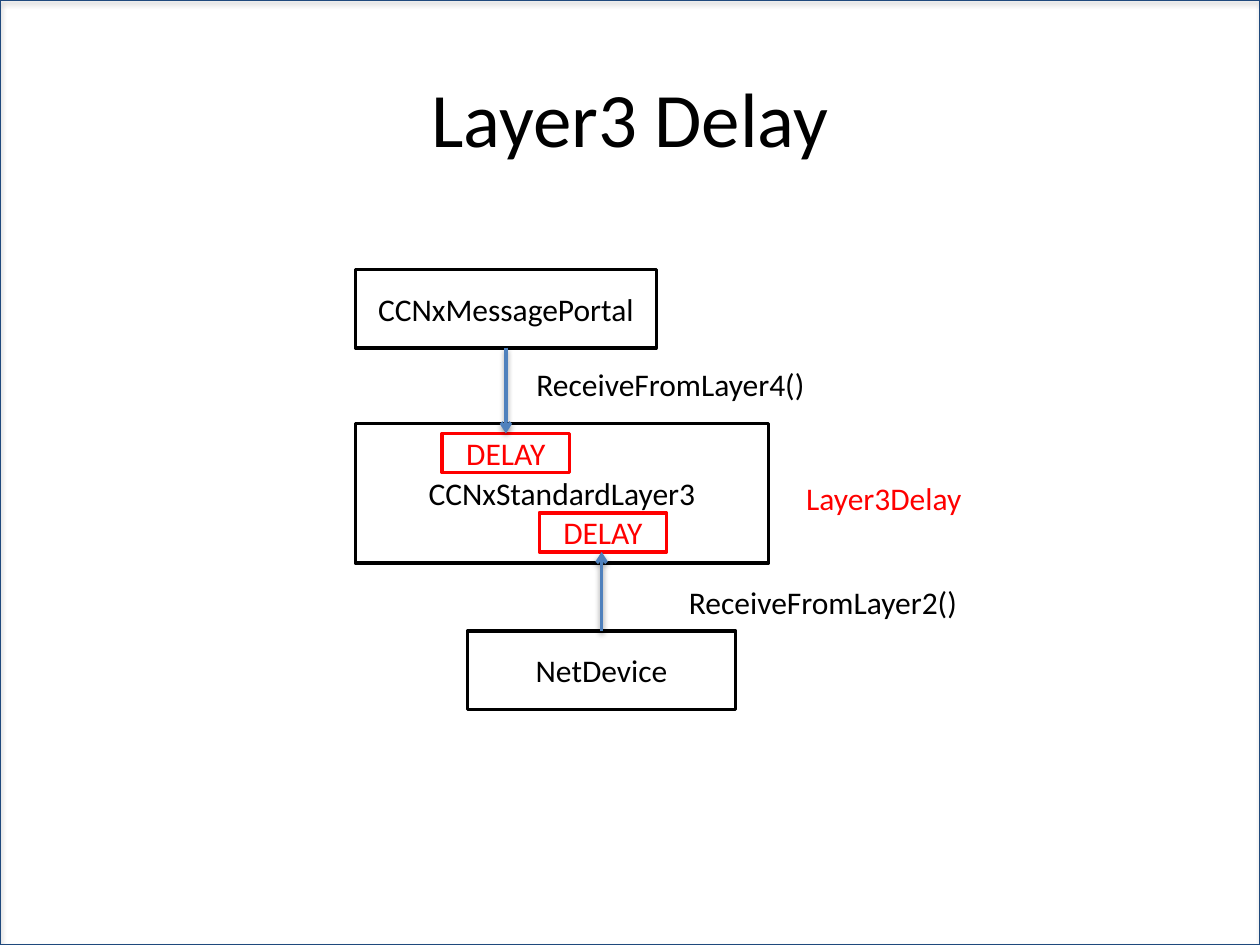
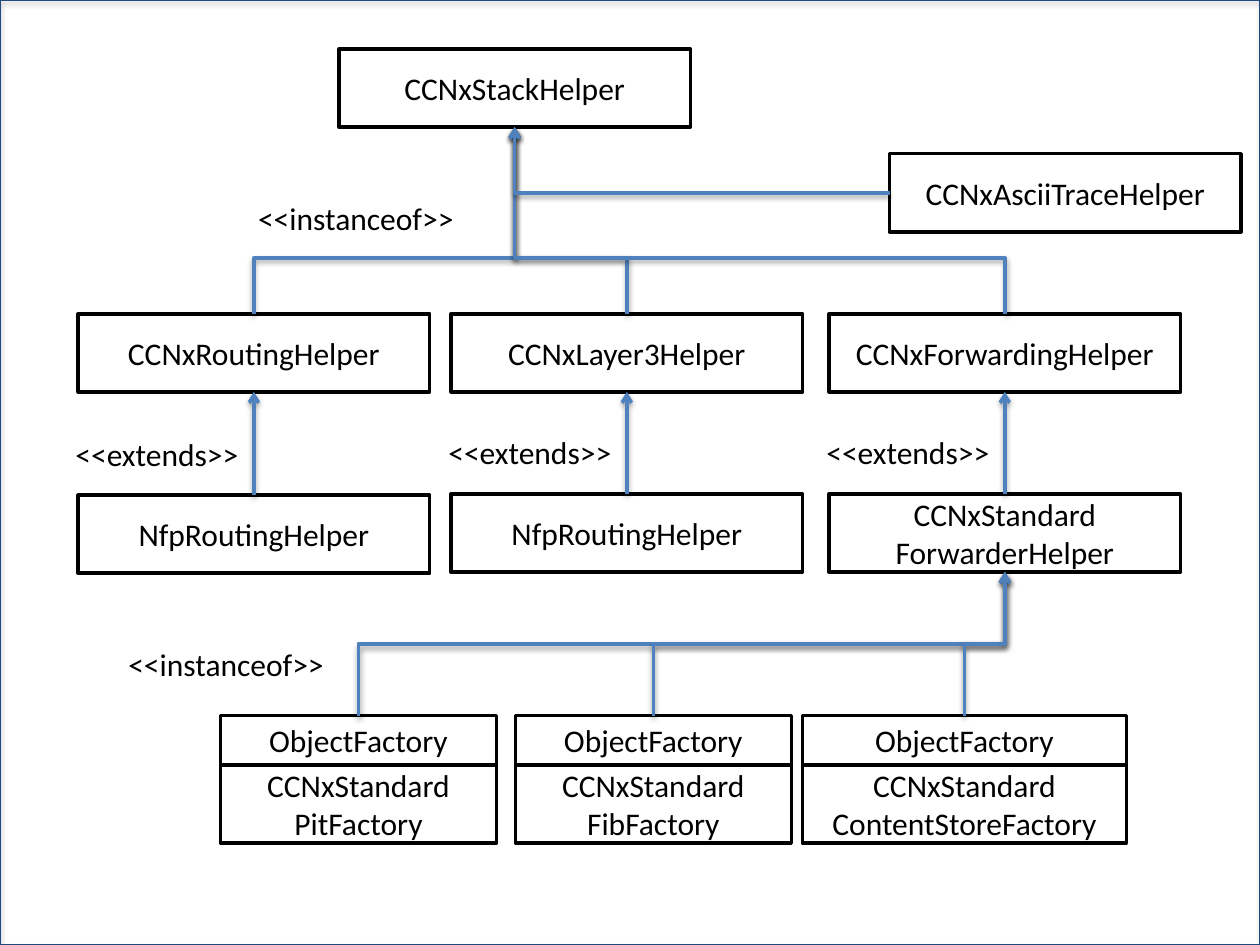
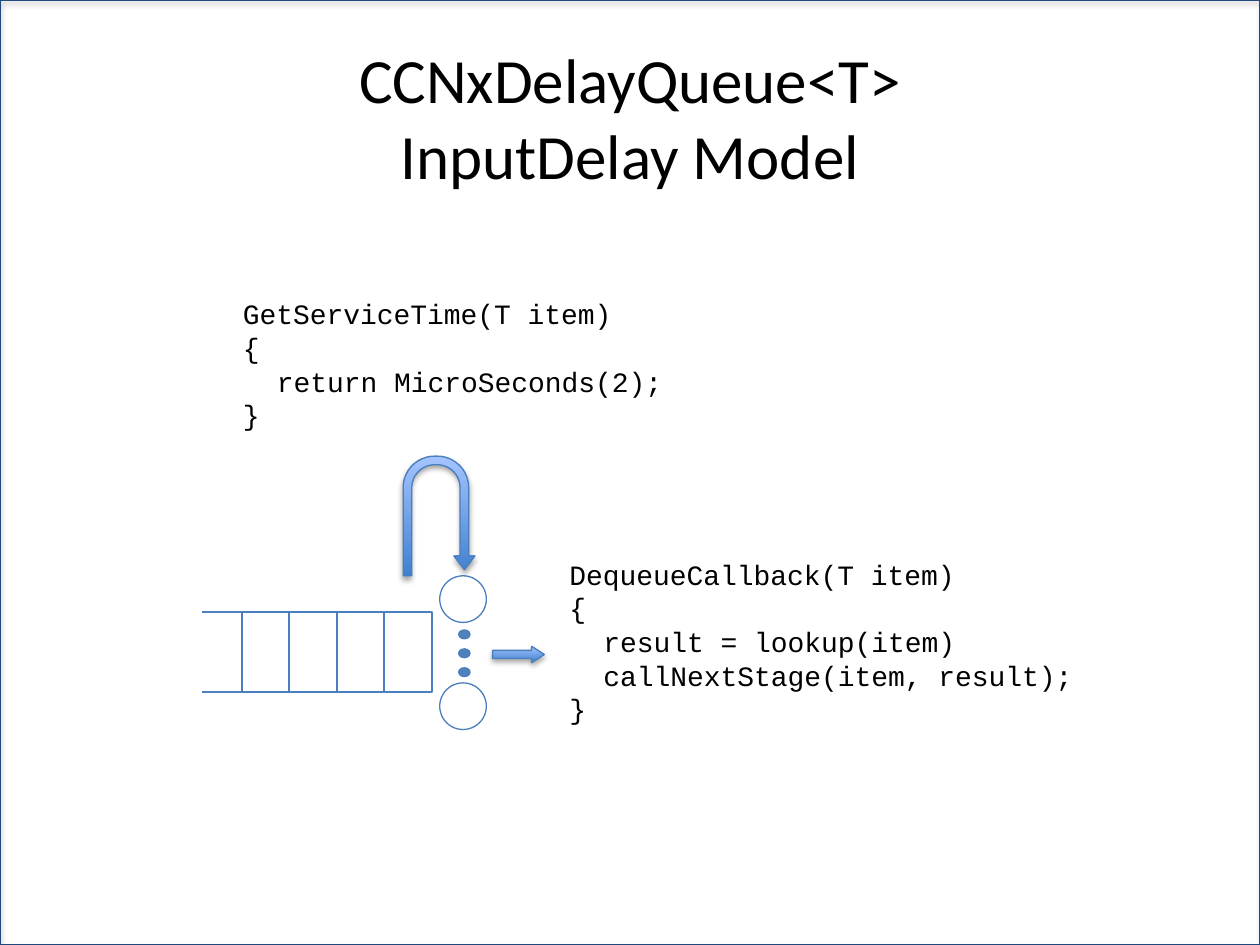
import dataclasses

import lxml.etree
import pptx
import pptx.dml.color
import pptx.enum.shapes
import pptx.enum.text
import pptx.oxml.ns
import pptx.util

Inches = pptx.util.Inches
Pt = pptx.util.Pt
RGB = pptx.dml.color.RGBColor.from_string
MSO_SHAPE = pptx.enum.shapes.MSO_SHAPE
MSO_CONNECTOR = pptx.enum.shapes.MSO_CONNECTOR
PP_ALIGN = pptx.enum.text.PP_ALIGN
MSO_ANCHOR = pptx.enum.text.MSO_ANCHOR
qn = pptx.oxml.ns.qn

TITLE_ONLY, BLANK = 5, 6


@dataclasses.dataclass(frozen=True)
class Theme:
    black: str = "000000"
    white: str = "FFFFFF"
    red: str = "FF0000"
    arrow: str = "4F81BD"
    outline: str = "4B7EBC"
    grad_dark: str = "3F80CE"
    grad_light: str = "A4C4FF"
    frame_fill: str = "264A59"
    frame_line: str = "1F497D"
    font: str = "Calibri"
    code_font: str = "Courier New"
    title: int = 44
    long_title: int = 36
    body: int = 18
    code: int = 16
    thick: float = 2
    medium: float = 1.25
    thin: float = 0.75
    code_indent: float = 0.27


T = Theme()


def sub(parent, tag, **attrs):
    return lxml.etree.SubElement(parent, qn(tag), **attrs)


def set_shadow(shape, opacity=0, distance=0):
    """Give the shape a soft downward shadow, or none when opacity is 0."""
    effects = sub(shape.element.spPr, "a:effectLst")
    if opacity:
        shadow = sub(effects, "a:outerShdw", blurRad="40000", dist=str(distance),
                     dir="5400000", rotWithShape="0")
        color = sub(shadow, "a:srgbClr", val=T.black)
        sub(color, "a:alpha", val=str(opacity * 1000))


def format_text(tf, size, font=T.font, color=T.black, align=PP_ALIGN.LEFT):
    for p in tf.paragraphs:
        p.alignment = align
        for r in p.runs:
            r.font.size = Pt(size)
            r.font.name = font
            r.font.color.rgb = RGB(color)


def add_preset(shapes, kind, x, y, w, h, fill=None, line=None, width=T.thin):
    sp = shapes.add_shape(kind, Inches(x), Inches(y), Inches(w), Inches(h))
    if fill:
        sp.fill.solid()
        sp.fill.fore_color.rgb = RGB(fill)
    else:
        sp.fill.background()
    if line:
        sp.line.color.rgb = RGB(line)
        sp.line.width = Pt(width)
    else:
        sp.line.fill.background()
    return sp


def add_box(shapes, text, x, y, w, h=0.62, color=T.black):
    sp = add_preset(shapes, MSO_SHAPE.RECTANGLE, x, y, w, h, T.white, color, T.thick)
    set_shadow(sp)
    tf = sp.text_frame
    tf.text = text
    tf.word_wrap = True
    tf.vertical_anchor = MSO_ANCHOR.MIDDLE
    format_text(tf, T.body, color=color, align=PP_ALIGN.CENTER)
    return sp


def add_label(shapes, text, x, y, w, color=T.black, fill=None):
    sp = shapes.add_textbox(Inches(x), Inches(y), Inches(w), Inches(0.4))
    if fill:
        sp.fill.solid()
        sp.fill.fore_color.rgb = RGB(fill)
    tf = sp.text_frame
    tf.text = text
    tf.word_wrap = False
    tf.auto_size = pptx.enum.text.MSO_AUTO_SIZE.SHAPE_TO_FIT_TEXT
    format_text(tf, T.body, color=color)


def add_code(shapes, lines, x, y, w, h):
    """Draw a code block; the lines between the braces are indented."""
    sp = add_preset(shapes, MSO_SHAPE.FLOWCHART_PROCESS, x, y, w, h, T.white)
    set_shadow(sp)
    tf = sp.text_frame
    tf.text = "\n".join(lines)
    tf.word_wrap = True
    tf.vertical_anchor = MSO_ANCHOR.MIDDLE
    format_text(tf, T.code, T.code_font)
    for p in tf.paragraphs[2:-1]:
        p._p.get_or_add_pPr().set("marL", str(Inches(T.code_indent)))


def add_line(shapes, kind, x1, y1, x2, y2, width=T.thick, arrow=True):
    cxn = shapes.add_connector(kind, x1, y1, x2, y2)
    cxn.line.color.rgb = RGB(T.arrow)
    cxn.line.width = Pt(width)
    if arrow:
        sub(cxn.line._get_or_add_ln(), "a:tailEnd", type="arrow")
    set_shadow(cxn, 38 if arrow else 0, 20000)
    return cxn


def center_x(sp):
    return sp.left + sp.width // 2


def bottom(sp):
    return sp.top + sp.height


def arrow_up(shapes, lower, upper):
    x = center_x(lower)
    add_line(shapes, MSO_CONNECTOR.STRAIGHT, x, lower.top, x, bottom(upper))


def arrow_down(shapes, upper, lower):
    x = center_x(upper)
    add_line(shapes, MSO_CONNECTOR.STRAIGHT, x, bottom(upper), x, lower.top)


def elbow_up(shapes, lower, upper, bend):
    """Leave the top of lower, turn at the share bend, end under upper."""
    x1, x2 = center_x(lower), center_x(upper)
    rise, run = lower.top - bottom(upper), abs(x2 - x1)
    left = (x1 + x2 - rise) // 2
    top = (lower.top + bottom(upper) - run) // 2
    cxn = add_line(shapes, MSO_CONNECTOR.ELBOW, left, top, left + rise, top + run)
    xfrm = cxn.element.spPr.find(qn("a:xfrm"))
    xfrm.set("flipV", "1")
    if x2 > x1:
        xfrm.set("flipH", "1")
        xfrm.set("rot", "5400000")
    else:
        xfrm.set("rot", "16200000")
    guides = cxn.element.spPr.find(qn("a:prstGeom")).find(qn("a:avLst"))
    sub(guides, "a:gd", name="adj1", fmla=f"val {round(bend * 100000)}")


def corner_up(shapes, side, upper):
    """Leave the left side of a box and turn once, up into upper."""
    cxn = add_line(shapes, MSO_CONNECTOR.ELBOW, center_x(upper), bottom(upper),
                   side.left, side.top + side.height // 2)
    cxn.element.spPr.find(qn("a:xfrm")).set("rot", "10800000")
    cxn.element.spPr.find(qn("a:prstGeom")).set("prst", "bentConnector2")


def add_block_arrow(shapes, kind, x, y, w, h, adjustments):
    sp = add_preset(shapes, kind, x, y, w, h, line=T.outline)
    for i, value in enumerate(adjustments):
        sp.adjustments[i] = value
    sp.fill.gradient()
    sp.fill.gradient_angle = 90
    for stop, color in zip(sp.fill.gradient_stops, (T.grad_dark, T.grad_light)):
        stop.color.rgb = RGB(color)
    set_shadow(sp, 35, 23000)


def add_master_frame(prs, slide):
    """Put the slide border behind everything on the master."""
    sp = add_preset(slide.shapes, MSO_SHAPE.FRAME, 0, 0, 10, 7.5,
                    T.frame_fill, T.frame_line)
    sp.adjustments[0] = 0
    set_shadow(sp, 35, 23000)
    prs.slide_master.shapes.element.insert(2, sp.element)


def set_title(slide, text, size=T.title):
    sp = slide.shapes.title
    sp.left, sp.top, sp.width, sp.height = map(Inches, (0.5, 0.3, 9, 1.25))
    tf = sp.text_frame
    tf.text = text
    tf.vertical_anchor = MSO_ANCHOR.MIDDLE
    format_text(tf, size, align=PP_ALIGN.CENTER)
    for br in tf.paragraphs[0]._p.findall(qn("a:br")):
        sub(br, "a:rPr", sz=str(size * 100))


def build_layer3_delay(slide):
    shapes = slide.shapes
    set_title(slide, "Layer3 Delay")
    portal = add_box(shapes, "CCNxMessagePortal", 2.82, 2.14, 2.39)
    add_box(shapes, "CCNxStandardLayer3", 2.82, 3.36, 3.28, 1.11)
    device = add_box(shapes, "NetDevice", 3.71, 5.01, 2.13)
    add_label(shapes, "ReceiveFromLayer2()", 5.37, 4.58, 2.37, fill=T.white)
    add_label(shapes, "ReceiveFromLayer4()", 4.16, 2.85, 2.37, fill=T.white)
    delay_up = add_box(shapes, "DELAY", 4.28, 4.07, 1.01, 0.31, T.red)
    delay_down = add_box(shapes, "DELAY", 3.51, 3.44, 1.01, 0.31, T.red)
    arrow_up(shapes, device, delay_up)
    arrow_down(shapes, portal, delay_down)
    add_label(shapes, "Layer3Delay", 6.3, 3.75, 1.46, T.red)


def build_helpers(slide):
    shapes = slide.shapes
    width = 2.79
    stack = add_box(shapes, "CCNxStackHelper", 2.69, 0.39, width)
    columns = [
        (0.62, 3.93, "CCNxRoutingHelper", "NfpRoutingHelper"),
        (3.58, 3.92, "CCNxLayer3Helper", "NfpRoutingHelper"),
        (6.58, 3.92, "CCNxForwardingHelper", "CCNxStandard\nForwarderHelper"),
    ]
    for x, y, base_name, derived_name in columns:
        base = add_box(shapes, base_name, x, 2.49, width)
        derived = add_box(shapes, derived_name, x, y, width)
        arrow_up(shapes, derived, base)
        add_label(shapes, "<<extends>>", x - 0.12, y - 0.53, 1.52)
        elbow_up(shapes, base, stack, 0.3)
    forwarder = derived

    factories = [
        (1.75, 2.19, "PitFactory"),
        (4.09, 2.19, "FibFactory"),
        (6.37, 2.57, "ContentStoreFactory"),
    ]
    for x, w, name in factories:
        add_box(shapes, f"CCNxStandard\n{name}", x, 6.07, w)
        factory = add_box(shapes, "ObjectFactory", x, 5.68, w, 0.39)
        elbow_up(shapes, factory, forwarder, 0.5)

    for x, y in ((1.95, 1.53), (0.92, 5.07)):
        add_label(shapes, "<<instanceof>>", x, y, 1.77)
    trace = add_box(shapes, "CCNxAsciiTraceHelper", 7.06, 1.22, width)
    corner_up(shapes, trace, stack)


def add_queue(shapes):
    """Draw the open-ended queue and its column of servers."""
    top, height, cell = 4.86, 0.63, 0.377
    for y in (top, top + height):
        add_line(shapes, MSO_CONNECTOR.STRAIGHT, Inches(1.6), Inches(y),
                 Inches(1.92), Inches(y), T.medium, arrow=False)
    for i in range(4):
        set_shadow(add_preset(shapes, MSO_SHAPE.RECTANGLE, 1.92 + i * cell, top,
                              cell, height, line=T.outline, width=T.medium))
    for y in (4.57, 5.42):
        set_shadow(add_preset(shapes, MSO_SHAPE.OVAL, 3.49, y, 0.37, 0.37,
                              line=T.outline))
    for i in range(3):
        set_shadow(add_preset(shapes, MSO_SHAPE.OVAL, 3.64, 5 + i * 0.15, 0.09, 0.07,
                              T.arrow, T.outline))


def build_delay_queue(slide):
    shapes = slide.shapes
    set_title(slide, "CCNxDelayQueue<T>\vInputDelay Model", T.long_title)
    add_queue(shapes.add_group_shape().shapes)
    add_code(shapes, ["GetServiceTime(T item)", "{", "return MicroSeconds(2);", "}"],
             1.83, 2.3, 4.66, 1.18)
    add_block_arrow(shapes, MSO_SHAPE.U_TURN_ARROW, 3.2, 3.62, 0.57, 0.95,
                    (0.12, 0.147, 0.191, 0.438, 0.949))
    add_block_arrow(shapes, MSO_SHAPE.RIGHT_ARROW, 3.91, 5.13, 0.41, 0.13, (0.5, 0.77))
    add_code(shapes, ["DequeueCallback(T item)", "{", "result = lookup(item)",
                      "callNextStage(item, result);", "}"], 4.42, 4.28, 5.08, 1.62)


def main():
    prs = pptx.Presentation()
    prs.slide_width, prs.slide_height = Inches(10), Inches(7.5)
    pages = [(TITLE_ONLY, build_layer3_delay), (BLANK, build_helpers),
             (TITLE_ONLY, build_delay_queue)]
    for layout, build in pages:
        build(prs.slides.add_slide(prs.slide_layouts[layout]))
    add_master_frame(prs, prs.slides[0])
    prs.save("out.pptx")


if __name__ == "__main__":
    main()
